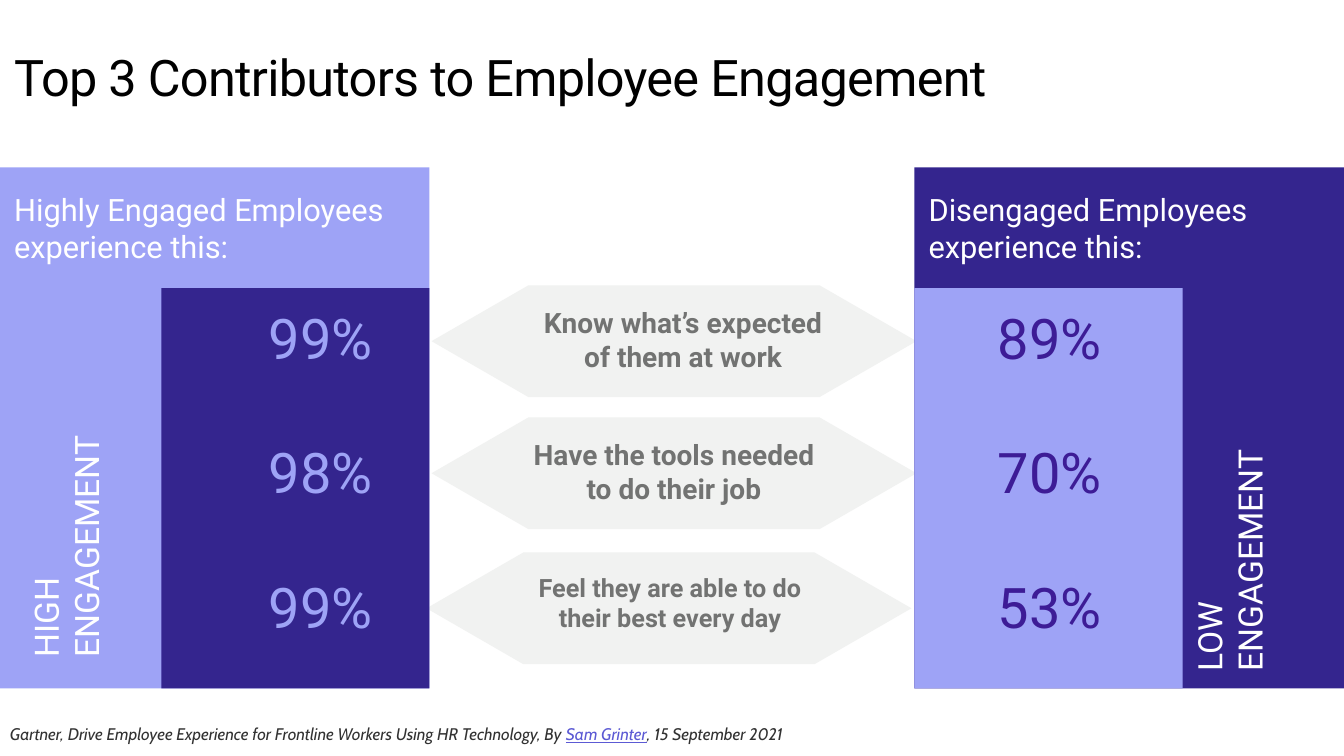
from dataclasses import dataclass

from pptx import Presentation
from pptx.dml.color import RGBColor
from pptx.enum.shapes import MSO_SHAPE as Preset
from pptx.enum.text import MSO_ANCHOR as Anchor, PP_ALIGN as Align
from pptx.shapes.autoshape import Shape
from pptx.slide import Slide
from pptx.text.text import TextFrame, _Paragraph as Paragraph, _Run as Run
from pptx.util import Inches, Pt

COLORS = {
    "lilac": "9EA3F6", "indigo": "34258E", "violet": "3D1C96", "white": "FFFFFF",
    "black": "000000", "pale": "F1F2F1", "gray": "727372", "ink": "323232",
    "link": "5C5AD4",
}
PANEL_WIDTH, PANEL_TOP, PANEL_HEIGHT = 4.26, 1.66, 5.17
INNER_WIDTH, INNER_TOP = 2.66, 2.86


@dataclass(frozen=True)
class Contributor:
    caption: str
    left: float
    top: float
    caption_left: float
    size: int


@dataclass(frozen=True)
class Panel:
    heading: str
    level: str
    rates: tuple[str, ...]
    left: float
    inner_left: float
    rates_left: float
    level_left: float
    level_top: float
    outer_color: str
    inner_color: str
    rate_color: str


CONTRIBUTORS = (
    Contributor("Know what’s expected of them at work", 4.28, 2.83, 5.29, 20),
    Contributor("Have the tools needed to do their job", 4.28, 4.14, 5.2, 20),
    Contributor("Feel they are able to do their best every day", 4.23, 5.48, 5.16, 18),
)
PANELS = (
    Panel("Highly Engaged Employees experience this:", "HIGH", ("99%", "98%", "99%"),
          0, 1.6, 2.28, 0.25, 3.15, "lilac", "indigo", "lilac"),
    Panel("Disengaged Employees experience this:", "LOW", ("89%", "70%", "53%"),
          9.07, 9.07, 9.51, 11.79, 3.29, "indigo", "lilac", "violet"),
)


def rgb(color: str) -> RGBColor:
    return RGBColor.from_string(COLORS[color])


def add_run(paragraph: Paragraph, text: str, size: int, color: str,
            font: str = "Roboto") -> Run:
    run = paragraph.add_run()
    run.text = text
    run.font.name = font
    run.font.size = Pt(size)
    run.font.color.rgb = rgb(color)
    return run


def clear_margins(frame: TextFrame) -> None:
    frame.margin_left = frame.margin_top = frame.margin_right = frame.margin_bottom = 0


def add_block(slide: Slide, preset: Preset, left: float, top: float,
              width: float, height: float, color: str) -> Shape:
    block = slide.shapes.add_shape(
        preset, Inches(left), Inches(top), Inches(width), Inches(height))
    block.shadow.inherit = False
    block.fill.solid()
    block.fill.fore_color.rgb = rgb(color)
    block.line.fill.background()
    return block


def add_text(slide: Slide, left: float, top: float, width: float, height: float,
             lines: tuple[str, ...], size: int, color: str, align: Align = Align.LEFT,
             gap: int = 0, bold: bool = False) -> TextFrame:
    """Add one paragraph per line, with gap points between them."""
    frame = slide.shapes.add_textbox(
        Inches(left), Inches(top), Inches(width), Inches(height)).text_frame
    frame.word_wrap = True
    clear_margins(frame)
    for index, line in enumerate(lines):
        paragraph = frame.add_paragraph() if index else frame.paragraphs[0]
        paragraph.alignment = align
        if index and gap:
            paragraph.space_before = Pt(gap)
        add_run(paragraph, line, size, color).font.bold = bold
    return frame


def add_title(slide: Slide) -> None:
    title = slide.shapes.title
    title.left, title.top = Inches(0.14), Inches(0.46)
    title.width, title.height = Inches(12.05), Inches(0.61)
    frame = title.text_frame
    clear_margins(frame)
    frame.vertical_anchor = Anchor.TOP
    paragraph = frame.paragraphs[0]
    paragraph.alignment = Align.LEFT
    run = add_run(paragraph, "Top 3 Contributors to Employee Engagement", 36, "black")
    run.font._element.set("spc", "-50")


def add_contributor(slide: Slide, item: Contributor) -> None:
    add_block(slide, Preset.FLOWCHART_PREPARATION, item.left, item.top, 4.81, 1.11, "pale")
    add_text(slide, item.caption_left, item.top + 0.2, 2.97, 0.91, (item.caption,),
             item.size, "gray", Align.CENTER, bold=True)


def add_panel(slide: Slide, panel: Panel) -> None:
    add_block(slide, Preset.RECTANGLE, panel.left, PANEL_TOP,
              PANEL_WIDTH, PANEL_HEIGHT, panel.outer_color)
    add_block(slide, Preset.RECTANGLE, panel.inner_left, INNER_TOP, INNER_WIDTH,
              PANEL_TOP + PANEL_HEIGHT - INNER_TOP, panel.inner_color)
    add_text(slide, panel.left + 0.14, 1.89, 4.12, 0.74, (panel.heading,), 22, "white")
    add_text(slide, panel.rates_left, 3.01, 1.8, 3.37, panel.rates, 40,
             panel.rate_color, Align.CENTER, gap=48)
    level = add_text(slide, panel.level_left, panel.level_top, 0.81, 3.37,
                     (panel.level, "ENGAGEMENT"), 24, "white")
    level._txBody.bodyPr.set("vert", "vert270")


def add_source(slide: Slide) -> None:
    frame = slide.shapes.add_textbox(
        0, Inches(7.13), Inches(13.33), Inches(0.3)).text_frame
    frame.word_wrap = True
    citation = (
        ("Gartner, Drive Employee Experience for Frontline Workers "
         "Using HR Technology, By ", "ink", False),
        ("Sam Grinter", "link", True),
        (", 15 September 2021", "ink", False),
    )
    for text, color, underlined in citation:
        run = add_run(frame.paragraphs[0], text, 12, color, "Cabin")
        run.font.italic = True
        run.font.underline = underlined


def main() -> None:
    deck = Presentation()
    deck.slide_width, deck.slide_height = Inches(13.33), Inches(7.5)
    slide = deck.slides.add_slide(deck.slide_layouts[5])
    add_title(slide)
    for item in CONTRIBUTORS:
        add_contributor(slide, item)
    for panel in PANELS:
        add_panel(slide, panel)
    add_source(slide)
    deck.save("out.pptx")


if __name__ == "__main__":
    main()
